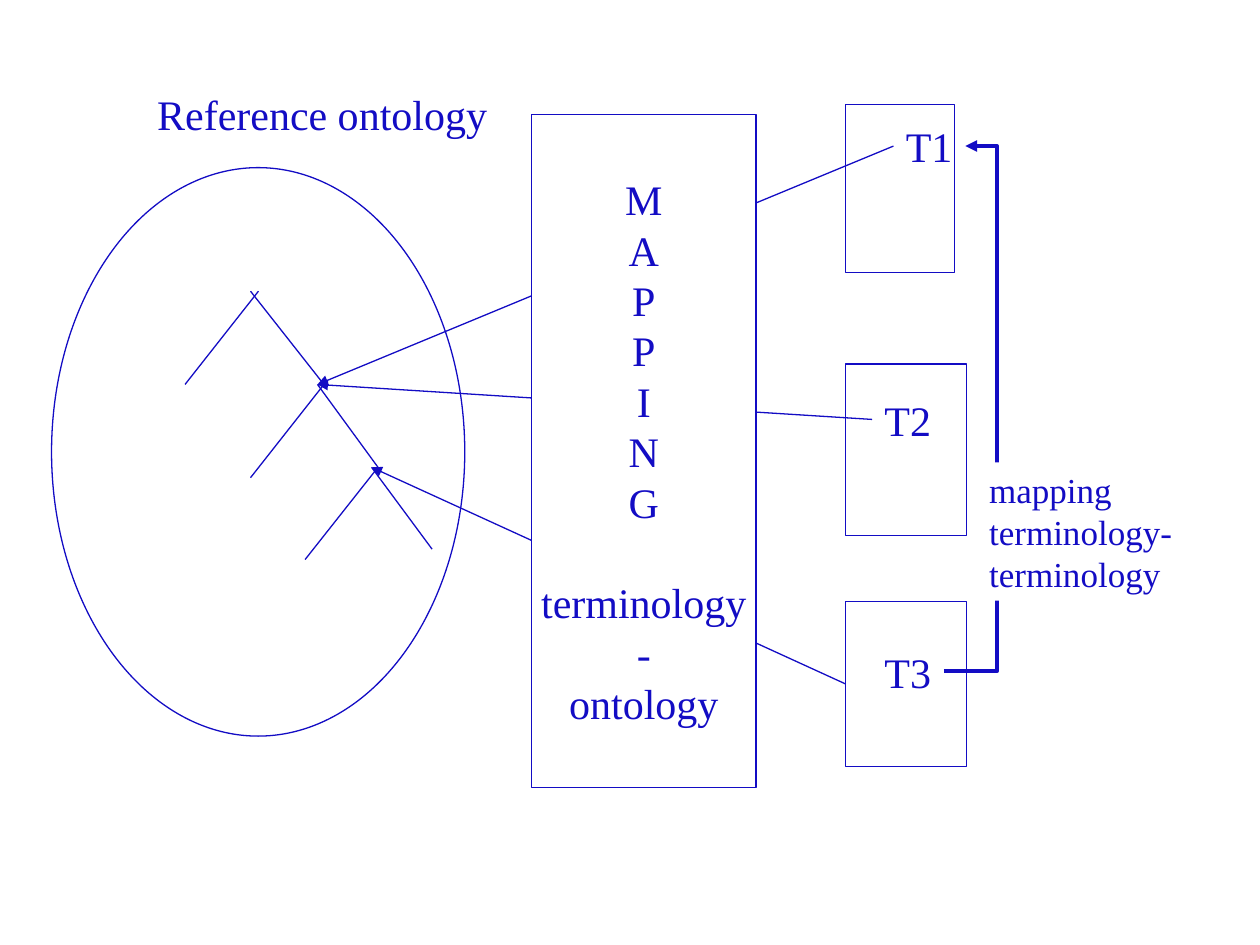
from pptx import Presentation
from pptx.dml.color import RGBColor
from pptx.enum.shapes import MSO_CONNECTOR, MSO_SHAPE
from pptx.enum.text import MSO_ANCHOR, MSO_AUTO_SIZE, PP_ALIGN
from pptx.oxml.ns import qn
from pptx.util import Cm, Pt
from lxml.etree import SubElement

BLUE = RGBColor(0x13, 0x0C, 0xC4)
WHITE = RGBColor(0xFF, 0xFF, 0xFF)
FONT = "Times New Roman"

TERMINOLOGIES = [
    ("T1", (17.04, 2.11, 2.21, 3.38), (18.01, 2.31)),
    ("T2", (17.04, 7.34, 2.44, 3.45), (17.58, 7.82)),
    ("T3", (17.04, 12.12, 2.44, 3.33), (17.58, 12.9)),
]
BRANCHES = [
    (5.21, 5.87, 3.73, 7.75),
    (6.53, 7.75, 5.05, 5.87),
    (6.53, 7.75, 5.05, 9.63),
    (7.62, 9.42, 6.4, 7.75),
    (7.62, 9.42, 6.15, 11.28),
    (7.49, 9.42, 8.71, 11.07),
]
UPPER_NODE = (6.4, 7.75)
LOWER_NODE = (7.49, 9.42)


def lengths(values):
    return [Cm(value) for value in values]


def add_outline(page, kind, place, fill=None, line=BLUE):
    shape = page.shapes.add_shape(kind, *lengths(place))
    shape.shadow.inherit = False
    if fill is None:
        shape.fill.background()
    else:
        shape.fill.solid()
        shape.fill.fore_color.rgb = fill
    if line is None:
        shape.line.fill.background()
    else:
        shape.line.color.rgb = line
        shape.line.width = Pt(0.75)
    return shape


def write(shape, text, size=24, align=PP_ALIGN.LEFT, anchor=MSO_ANCHOR.TOP, wrap=False):
    frame = shape.text_frame
    frame.text = text
    frame.word_wrap = wrap
    frame.vertical_anchor = anchor
    for paragraph in frame.paragraphs:
        paragraph.alignment = align
        for span in paragraph.runs:
            span.font.name = FONT
            span.font.size = Pt(size)
            span.font.color.rgb = BLUE
    return frame


def add_label(page, text, place):
    box = page.shapes.add_textbox(*lengths(place))
    write(box, text).auto_size = MSO_AUTO_SIZE.SHAPE_TO_FIT_TEXT
    return box


def add_line(page, ends, kind=MSO_CONNECTOR.STRAIGHT, width=0.75, arrow=False):
    line = page.shapes.add_connector(kind, *lengths(ends))
    line.line.color.rgb = BLUE
    line.line.width = Pt(width)
    if arrow:
        SubElement(line.line._get_or_add_ln(), qn("a:tailEnd"), type="triangle")
    SubElement(line._element.spPr, qn("a:effectLst"))
    return line


def add_mapping_arrow(page, source, node):
    start = (source.left.cm, source.top.cm + source.height.cm / 2)
    arrow = add_line(page, (*start, *node), arrow=True)
    arrow.begin_connect(source, 1)


def add_mapping_block(page):
    block = add_outline(page, MSO_SHAPE.RECTANGLE, (10.72, 2.31, 4.52, 13.56), WHITE)
    lines = [*"MAPPING", "terminology", "-", "ontology"]
    frame = write(block, "\n".join(lines), align=PP_ALIGN.CENTER, anchor=MSO_ANCHOR.MIDDLE)
    frame.paragraphs[lines.index("terminology")].space_before = Pt(28.8)


def add_terminology_link(page, source, target):
    link = add_line(page, (19.02, 13.54, 19.46, 2.95), MSO_CONNECTOR.ELBOW, 2.25, True)
    link.begin_connect(source, 3)
    link.end_connect(target, 3)
    geometry = link._element.spPr.find(qn("a:prstGeom"))
    adjustments = geometry.find(qn("a:avLst"))
    if adjustments is None:
        adjustments = SubElement(geometry, qn("a:avLst"))
    SubElement(adjustments, qn("a:gd"), name="adj1", fmla="val 248300")


def main():
    deck = Presentation()
    deck.slide_width, deck.slide_height = Cm(25.4), Cm(19.05)
    page = deck.slides.add_slide(deck.slide_layouts[6])

    add_outline(page, MSO_SHAPE.OVAL, (1.04, 3.38, 8.33, 11.46))
    frames = [add_outline(page, MSO_SHAPE.RECTANGLE, place) for _, place, _ in TERMINOLOGIES]
    for branch in BRANCHES:
        add_line(page, branch)
    labels = [add_label(page, name, (*corner, 1.45, 1.27)) for name, _, corner in TERMINOLOGIES]

    add_mapping_arrow(page, labels[0], UPPER_NODE)
    add_mapping_arrow(page, labels[1], UPPER_NODE)
    add_mapping_arrow(page, frames[2], LOWER_NODE)
    add_mapping_block(page)
    add_terminology_link(page, labels[2], labels[0])

    note = add_outline(page, MSO_SHAPE.RECTANGLE, (19.69, 9.32, 4.65, 2.79), WHITE, None)
    write(note, "mapping\nterminology-terminology", size=20, wrap=True)
    add_label(page, "Reference ontology", (2.92, 1.65, 7.16, 1.27))
    deck.save("out.pptx")


if __name__ == "__main__":
    main()
